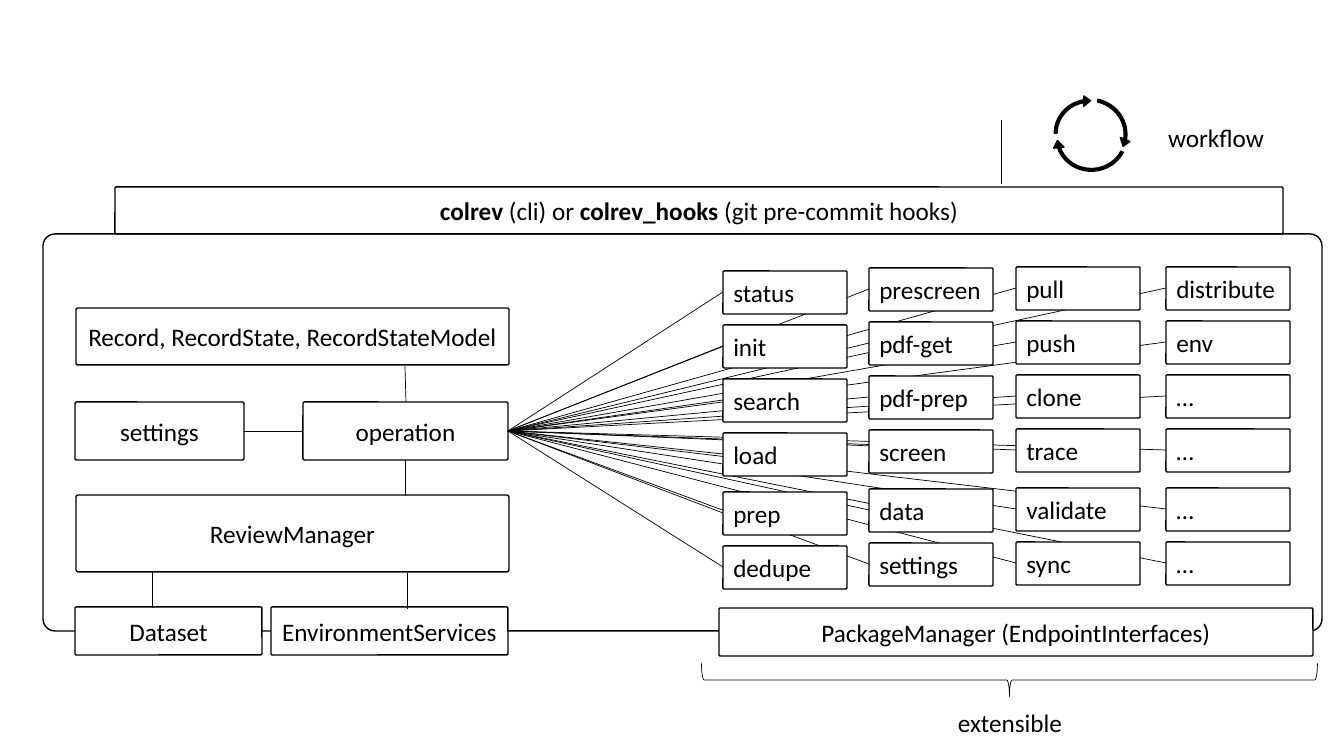
import dataclasses

import lxml.etree
import pptx
import pptx.dml.color
import pptx.enum.shapes
import pptx.enum.text
import pptx.oxml.ns
import pptx.util

SHAPE = pptx.enum.shapes.MSO_SHAPE
ALIGN = pptx.enum.text.PP_ALIGN
BLACK = pptx.dml.color.RGBColor(0x00, 0x00, 0x00)
WHITE = pptx.dml.color.RGBColor(0xFF, 0xFF, 0xFF)
FONT_FORMAT = {"name": "Calibri", "size": pptx.util.Pt(18)}
PIXELS_PER_INCH = 100.8
OUTLINE = 1.0
HAIRLINE = 0.5


def pixels(length: float) -> pptx.util.Emu:
    return pptx.util.Emu(round(length * 914400 / PIXELS_PER_INCH))


@dataclasses.dataclass(frozen=True)
class Run:
    text: str
    bold: bool = False


@dataclasses.dataclass(frozen=True)
class Box:
    left: int
    top: int
    width: int
    height: int
    runs: tuple[Run, ...] = ()
    align: ALIGN = ALIGN.CENTER
    fill: pptx.dml.color.RGBColor | None = WHITE

    def frame(self) -> list[pptx.util.Emu]:
        return [pixels(n) for n in (self.left, self.top, self.width, self.height)]


@dataclasses.dataclass(frozen=True)
class Link:
    start: tuple[int, int]
    end: tuple[int, int]


@dataclasses.dataclass(frozen=True)
class Figure:
    kind: SHAPE
    box: Box
    rotation: float
    weight: float
    adjustments: tuple[float, ...] = ()


@dataclasses.dataclass(frozen=True)
class Column:
    left: int
    top: int
    names: tuple[str, ...]


presentation = pptx.Presentation()
presentation.slide_width = pixels(1344)
presentation.slide_height = pixels(756)
slide = presentation.slides.add_slide(presentation.slide_layouts[6])


def write(shape, box: Box) -> None:
    frame = shape.text_frame
    frame.word_wrap = True
    paragraph = frame.paragraphs[0]
    paragraph.alignment = box.align
    for part in box.runs:
        run = paragraph.add_run()
        run.text = part.text
        for name, value in (FONT_FORMAT | {"bold": part.bold}).items():
            setattr(run.font, name, value)
        run.font.color.rgb = BLACK


def draw_figure(figure: Figure):
    shape = slide.shapes.add_shape(figure.kind, *figure.box.frame())
    shape.shadow.inherit = False
    shape.rotation = figure.rotation
    for index, value in enumerate(figure.adjustments):
        shape.adjustments[index] = value
    if figure.box.fill is None:
        shape.fill.background()
    else:
        shape.fill.solid()
        shape.fill.fore_color.rgb = figure.box.fill
    shape.line.color.rgb = BLACK
    shape.line.width = pptx.util.Pt(figure.weight)
    return shape


def draw_box(box: Box) -> None:
    shape = draw_figure(Figure(SHAPE.ROUNDED_RECTANGLE, box, 0, OUTLINE, (0.03,)))
    if box.runs:
        shape.text_frame.vertical_anchor = pptx.enum.text.MSO_ANCHOR.MIDDLE
        write(shape, box)


def draw_label(box: Box) -> None:
    write(slide.shapes.add_textbox(*box.frame()), box)


def draw_link(link: Link) -> None:
    ends = [pixels(n) for n in link.start + link.end]
    connector = slide.shapes.add_connector(
        pptx.enum.shapes.MSO_CONNECTOR.STRAIGHT, *ends)
    connector.line.color.rgb = BLACK
    connector.line.width = pptx.util.Pt(HAIRLINE)
    properties = connector._element.spPr
    lxml.etree.SubElement(properties, pptx.oxml.ns.qn("a:effectLst"))


# Panel, header and core classes
HEADER = (Run("colrev", True), Run(" (cli) or "), Run("colrev_hooks ", True),
          Run("(git pre-commit hooks)"))
CORE_BOXES = (
    Box(43, 234, 1279, 397, fill=None),
    Box(115, 187, 1168, 47, HEADER),
    Box(76, 308, 433, 57, (Run("Record, RecordState, RecordStateModel"),)),
    Box(75, 402, 169, 58, (Run("settings"),)),
    Box(303, 402, 205, 58, (Run("operation"),)),
    Box(76, 495, 433, 77, (Run("ReviewManager"),)),
    Box(75, 607, 187, 48, (Run("Dataset"),)),
    Box(271, 607, 237, 48, (Run("EnvironmentServices"),)),
    Box(719, 608, 594, 48, (Run("PackageManager (EndpointInterfaces)"),)),
)
for core_box in CORE_BOXES:
    draw_box(core_box)

# Links between the core classes and up to the workflow
CORE_LINKS = (
    Link((1001, 120), (1001, 184)),
    Link((303, 431), (243, 431)),
    Link((405, 366), (406, 402)),
    Link((405, 460), (405, 496)),
    Link((152, 571), (152, 608)),
    Link((407, 573), (407, 609)),
)
for core_link in CORE_LINKS:
    draw_link(core_link)

# Operations grid, every cell tied to the operation class
HUB = (508, 431)
CELL_WIDTH, CELL_HEIGHT = 124, 43
ROW_OFFSETS = (0, 54, 108, 162, 221, 275)
COLUMNS = (
    Column(723, 271, ("status", "init", "search", "load", "prep", "dedupe")),
    Column(869, 268, ("prescreen", "pdf-get", "pdf-prep", "screen", "data", "settings")),
    Column(1016, 267, ("pull", "push", "clone", "trace", "validate", "sync")),
    Column(1166, 267, ("distribute", "env", "…", "…", "…", "…")),
)
cells = [
    Box(column.left, column.top + offset, CELL_WIDTH, CELL_HEIGHT, (Run(name),), ALIGN.LEFT)
    for column in COLUMNS
    for offset, name in zip(ROW_OFFSETS, column.names)
]
for cell in cells:
    # The screen link is attached to the far side of its cell
    side = CELL_WIDTH if cell.runs[0].text == "screen" else 0
    draw_link(Link((cell.left + side, cell.top + CELL_HEIGHT // 2), HUB))
for cell in cells:
    draw_box(cell)

# Workflow cycle and bracket
FIGURES = (
    Figure(SHAPE.CIRCULAR_ARROW, Box(1052, 95, 79, 76, fill=BLACK), 25.6, OUTLINE,
           (0.036, 7.214, 207.203, 153.181, 0.068)),
    Figure(SHAPE.CIRCULAR_ARROW, Box(1052, 94, 76, 79, fill=BLACK), 273.6, OUTLINE,
           (0.036, 7.214, 207.203, 160.083, 0.068)),
    Figure(SHAPE.CIRCULAR_ARROW, Box(1052, 99, 79, 76, fill=BLACK), 176.7, OUTLINE,
           (0.036, 7.214, 207.203, 125.435, 0.068)),
    Figure(SHAPE.LEFT_BRACE, Box(993, 372, 33, 616, fill=None), 270, HAIRLINE),
)
for drawn_figure in FIGURES:
    draw_figure(drawn_figure)

# Free labels
for label in (Box(1149, 117, 134, 40, (Run("workflow"),)),
              Box(943, 702, 134, 40, (Run("extensible"),))):
    draw_label(label)

presentation.save("out.pptx")
